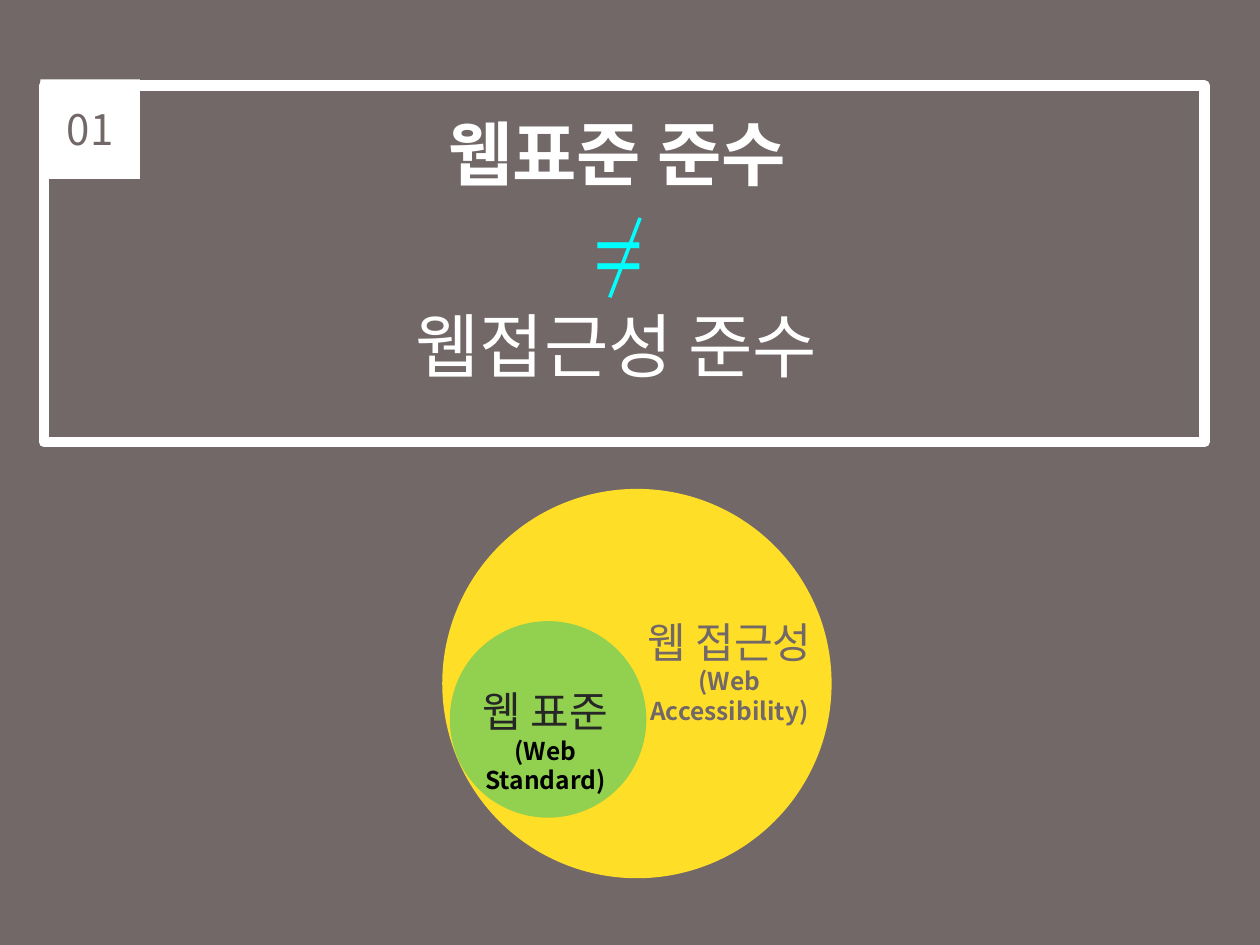
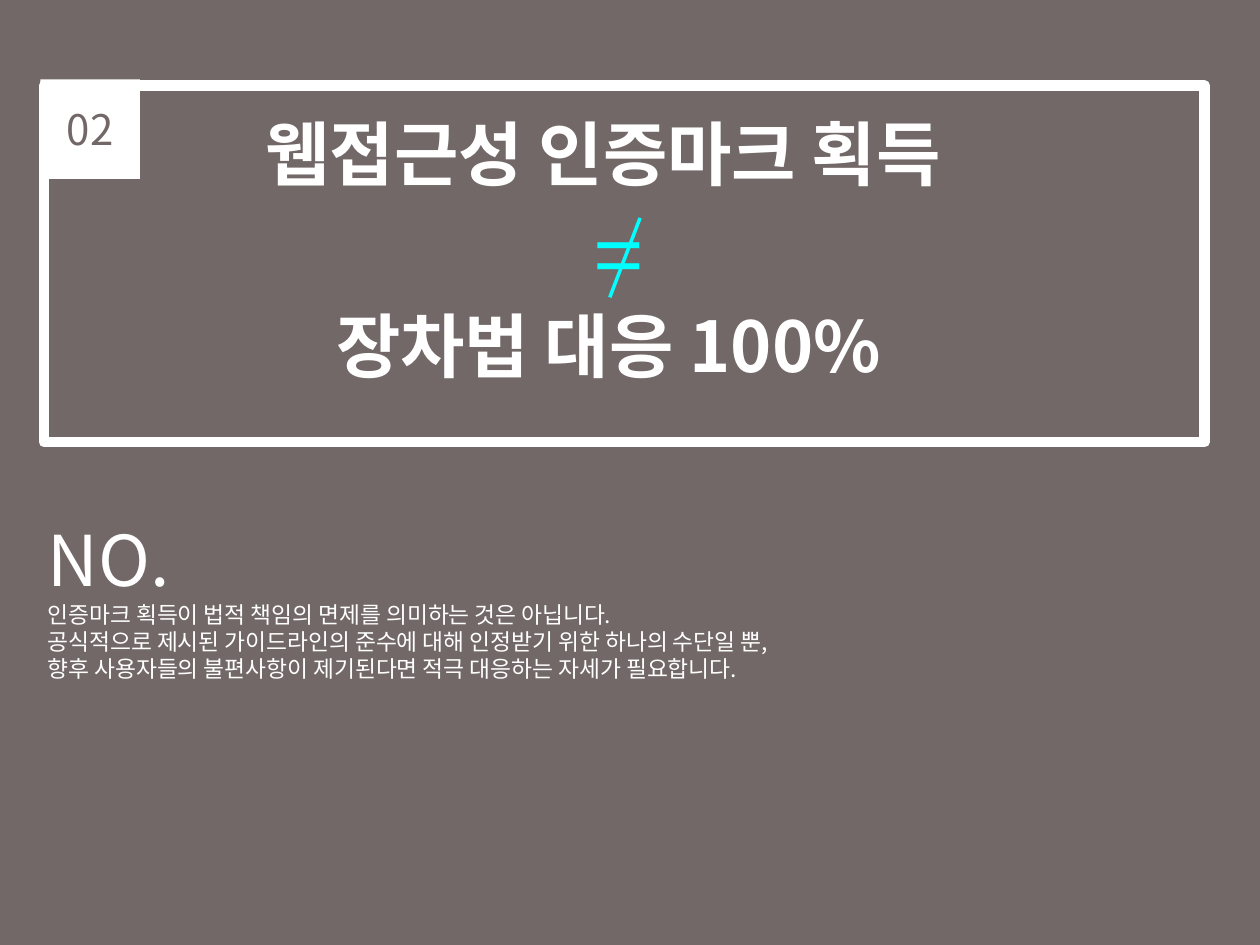
import pptx
import pptx.dml.color
import pptx.enum.shapes
import pptx.enum.text
import pptx.oxml.ns
import pptx.util
from lxml import etree

Inches = pptx.util.Inches
RGBColor = pptx.dml.color.RGBColor
SHAPES = pptx.enum.shapes.MSO_SHAPE
CENTER = pptx.enum.text.PP_ALIGN.CENTER
LEFT = pptx.enum.text.PP_ALIGN.LEFT

FONT = "Noto Sans CJK KR"
TAUPE = RGBColor(0x72, 0x68, 0x68)
WHITE = RGBColor(0xFF, 0xFF, 0xFF)
CYAN = RGBColor(0x00, 0xFF, 0xFF)
YELLOW = RGBColor(0xFF, 0xDE, 0x28)
GREEN = RGBColor(0x92, 0xD0, 0x50)
CHARCOAL = RGBColor(0x26, 0x26, 0x26)
BLACK = RGBColor(0x00, 0x00, 0x00)

FRAME = (0.35, 0.68, 9.21, 2.83)
DIAGRAM = (3.51, 3.88, 3.09)
NOTE = (0.28, 4.05, 9.37, 1.43)


def write(text_frame, lines, align=LEFT):
    """Fill a text frame with lines of (text, size, colour, bold)."""
    text_frame.text = "\n".join(line[0] for line in lines)
    for paragraph, (_, size, colour, bold) in zip(text_frame.paragraphs, lines):
        paragraph.alignment = align
        for run in paragraph.runs:
            run.font.name = FONT
            run.font.size = pptx.util.Pt(size)
            run.font.bold = bold
            run.font.color.rgb = colour
            properties = run.font._element
            east_asian = etree.SubElement(properties, pptx.oxml.ns.qn("a:ea"))
            east_asian.set("typeface", FONT)


def add_text(slide, left, top, width, height, lines, align=LEFT, wrap=False):
    box = slide.shapes.add_textbox(Inches(left), Inches(top), Inches(width), Inches(height))
    box.text_frame.word_wrap = wrap
    box.text_frame.auto_size = pptx.enum.text.MSO_AUTO_SIZE.SHAPE_TO_FIT_TEXT
    write(box.text_frame, lines, align)


def add_filled_shape(slide, kind, left, top, width, height, fill):
    shape = slide.shapes.add_shape(
        kind, Inches(left), Inches(top), Inches(width), Inches(height))
    shape.shadow.inherit = False
    shape.fill.solid()
    shape.fill.fore_color.rgb = fill
    shape.line.fill.background()
    return shape


def add_not_equal_sign(slide, left, top):
    add_text(slide, left, top, 0.68, 0.94, [("=", 50, CYAN, False)])
    slash = slide.shapes.add_connector(
        pptx.enum.shapes.MSO_CONNECTOR.STRAIGHT,
        Inches(left + 0.46), Inches(top + 0.18), Inches(left + 0.22), Inches(top + 0.81))
    slash.line.color.rgb = CYAN
    slash.line.width = pptx.util.Pt(2)
    etree.SubElement(slash._element.spPr, pptx.oxml.ns.qn("a:effectLst"))


def add_headline(slide, box, number, upper, lower):
    """Framed statement; upper and lower are (text, left offset, width, bold)."""
    left, top, width, height = box
    frame = add_filled_shape(slide, SHAPES.RECTANGLE, left, top, width, height, TAUPE)
    frame.line.color.rgb = WHITE
    frame.line.width = pptx.util.Pt(6)
    for (text, offset, text_width, bold), drop in ((upper, 0.15), (lower, 1.67)):
        add_text(slide, left + offset, top + drop, text_width, 0.77,
                 [(text, 40, WHITE, bold)])
    add_not_equal_sign(slide, left + 4.27, top + 0.87)
    badge = add_filled_shape(
        slide, SHAPES.RECTANGLE, left - 0.03, top - 0.05, 0.79, 0.79, WHITE)
    badge.text_frame.vertical_anchor = pptx.enum.text.MSO_ANCHOR.MIDDLE
    write(badge.text_frame, [(number, 24, TAUPE, False)], CENTER)


def add_nested_circles(slide, box):
    left, top, size = box
    add_filled_shape(slide, SHAPES.OVAL, left, top, size, size, YELLOW)
    add_text(slide, left + 1.48, top + 0.96, 1.6, 0.98,
             [("웹 접근성", 24, TAUPE, False), ("(Web Accessibility)", 14, TAUPE, True)],
             CENTER, wrap=True)
    add_filled_shape(slide, SHAPES.OVAL, left + 0.06, top + 1.05, 1.56, 1.56, GREEN)
    add_text(slide, left, top + 1.51, 1.64, 0.98,
             [("웹 표준", 24, CHARCOAL, False), ("(Web Standard)", 14, BLACK, True)],
             CENTER, wrap=True)


def add_note(slide, box, heading, sentences):
    lines = [(heading, 40, WHITE, False)]
    lines += [(sentence, 13, WHITE, False) for sentence in sentences]
    add_text(slide, *box, lines, wrap=True)


def main():
    presentation = pptx.Presentation()
    presentation.slide_width = Inches(10)
    presentation.slide_height = Inches(7.5)
    background = presentation.slide_master.background.fill
    background.solid()
    background.fore_color.rgb = TAUPE
    blank = presentation.slide_layouts[6]

    standard_slide = presentation.slides.add_slide(blank)
    add_headline(standard_slide, FRAME, "01",
                 ("웹표준 준수", 3.11, 3.2, True),
                 ("웹접근성 준수", 2.85, 3.53, False))
    add_nested_circles(standard_slide, DIAGRAM)

    certificate_slide = presentation.slides.add_slide(blank)
    add_headline(certificate_slide, FRAME, "02",
                 ("웹접근성 인증마크 획득", 1.66, 6.21, True),
                 ("장차법 대응 100%", 2.22, 4.87, True))
    add_note(certificate_slide, NOTE, "NO.", [
        "인증마크 획득이 법적 책임의 면제를 의미하는 것은 아닙니다.",
        "공식적으로 제시된 가이드라인의 준수에 대해 인정받기 위한 하나의 수단일 뿐,",
        "향후 사용자들의 불편사항이 제기된다면 적극 대응하는 자세가 필요합니다.",
    ])

    presentation.save("out.pptx")


if __name__ == "__main__":
    main()
